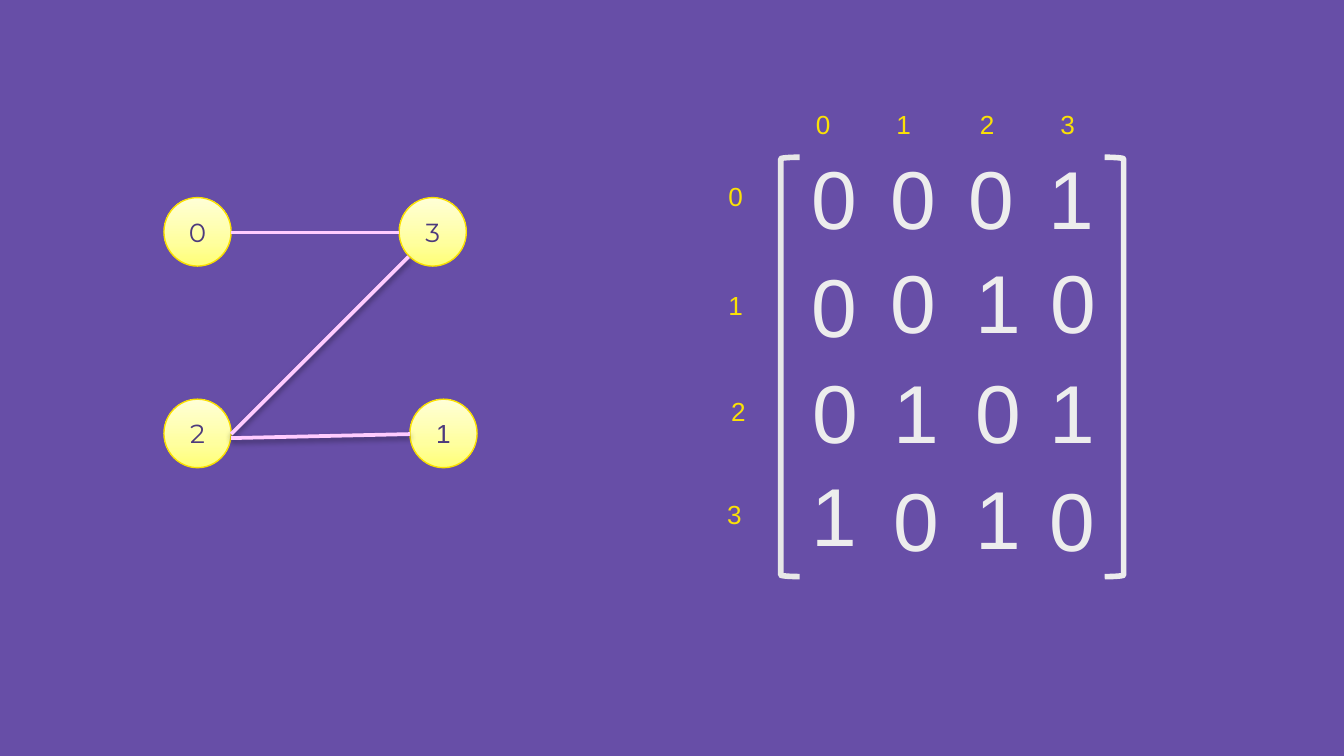
"""Draw a four-node graph beside its adjacency matrix."""
from copy import deepcopy

from lxml import etree
from pptx import Presentation
from pptx import util as u
from pptx.dml.color import RGBColor
from pptx.enum import shapes, text
from pptx.oxml import ns

HUES = {
    "back": "674EA7", "left": "E7E7E7", "digit": "EDEDED", "label": "FBE106",
    "rim": "FADF00", "node": "4D3A7D", "edge": "FFCCFF", "shade": "000000",
}
GLOW = [(0, "FFFF76"), (0.35, "FFFF9F"), (1, "FFFFD7")]
CELLS = [
    [("0", 5.94, 1.05), ("0", 6.53, 1.05), ("0", 7.11, 1.05), ("1", 7.7, 1.05)],
    [("0", 5.94, 1.85), ("0", 6.53, 1.82), ("1", 7.16, 1.82), ("0", 7.72, 1.82)],
    [("0", 5.95, 2.64), ("1", 6.55, 2.64), ("0", 7.16, 2.64), ("1", 7.71, 2.64)],
    [("1", 5.94, 3.41), ("0", 6.55, 3.44), ("1", 7.16, 3.43), ("0", 7.71, 3.44)],
]
ROWS = [("0", 5.42, 1.34), ("1", 5.42, 2.15), ("2", 5.44, 2.94), ("3", 5.41, 3.71)]
STOPS = [0.6, 1.22, 1.82]
NODES = [
    ("0", 1.22, 1.47, "Montserrat"), ("3", 2.97, 1.47, "Montserrat"),
    ("2", 1.22, 2.97, "Montserrat"), ("1", 3.05, 2.97, "Arial"),
]
EDGES = [
    (1.72, 1.73, 2.97, 1.73, False),
    (1.72, 3.23, 3.04, 1.91, True),
    (1.72, 3.26, 3.05, 3.23, True),
]


def tint(name):
    """Return the named colour."""
    return RGBColor.from_string(HUES[name])


def style(para, size, hue, face="Arial"):
    """Format every run of a paragraph."""
    for run in para.runs:
        run.font.size = u.Pt(size)
        run.font.name = face
        run.font.color.rgb = tint(hue)


def add_text(slide, words, box, size, hue, pad=(0, 0), tabs=()):
    """Add a text box with optional padding and tab stops."""
    frame = slide.shapes.add_textbox(*map(u.Inches, box)).text_frame
    frame.word_wrap = True
    frame.auto_size = text.MSO_AUTO_SIZE.SHAPE_TO_FIT_TEXT
    frame.margin_left = frame.margin_right = u.Inches(pad[0])
    frame.margin_top = frame.margin_bottom = u.Inches(pad[1])
    frame.text = words
    para = frame.paragraphs[0]
    if tabs:
        stops = etree.SubElement(para._p.get_or_add_pPr(), ns.qn("a:tabLst"))
        for stop in tabs:
            etree.SubElement(stops, ns.qn("a:tab"), pos=str(u.Inches(stop)), algn="l")
    style(para, size, hue)


def add_brace(slide, left, hue, turn):
    """Add one bracket of the matrix."""
    box = map(u.Inches, (left, 1.17, 0.14, 3.12))
    brace = slide.shapes.add_shape(shapes.MSO_SHAPE.LEFT_BRACKET, *box)
    brace.shadow.inherit = False
    brace.adjustments[0] = 0.083
    brace.rotation = turn
    brace.fill.background()
    brace.line.color.rgb = tint(hue)
    brace.line.width = u.Pt(3)


def fill_glow(shape):
    """Fill a shape with the upward yellow gradient."""
    shape.fill.gradient()
    shape.fill.gradient_angle = 90
    stops = shape._element.spPr.find(".//" + ns.qn("a:gsLst"))
    stops.append(deepcopy(stops[0]))
    for stop, (place, hue) in zip(shape.fill.gradient_stops, GLOW):
        stop.position = place
        stop.color.rgb = RGBColor.from_string(hue)


def add_node(slide, name, left, top, face):
    """Add one graph node."""
    box = map(u.Inches, (left, top, 0.5, 0.51))
    node = slide.shapes.add_shape(shapes.MSO_SHAPE.OVAL, *box)
    node.shadow.inherit = False
    fill_glow(node)
    node.line.color.rgb = tint("rim")
    node.line.width = u.Pt(0.75)
    frame = node.text_frame
    frame.vertical_anchor = text.MSO_ANCHOR.MIDDLE
    frame.text = name
    frame.paragraphs[0].alignment = text.PP_ALIGN.CENTER
    style(frame.paragraphs[0], 14, "node", face)


def add_edge(slide, x1, y1, x2, y2, shade):
    """Add one graph edge, with a soft shadow if asked."""
    ends = map(u.Inches, (x1, y1, x2, y2))
    edge = slide.shapes.add_connector(shapes.MSO_CONNECTOR.STRAIGHT, *ends)
    edge.line.color.rgb = tint("edge")
    edge.line.width = u.Pt(2)
    effects = etree.SubElement(edge._element.spPr, ns.qn("a:effectLst"))
    if shade:
        cast = etree.SubElement(
            effects, ns.qn("a:outerShdw"), blurRad=str(u.Pt(3)),
            dist=str(u.Pt(1.6)), dir="5400000", rotWithShape="0")
        hue = etree.SubElement(cast, ns.qn("a:srgbClr"), val=HUES["shade"])
        etree.SubElement(hue, ns.qn("a:alpha"), val="38000")


def main():
    """Build and save the slide."""
    deck = Presentation()
    deck.slide_width = u.Inches(10)
    deck.slide_height = deck.slide_width * 9 // 16
    slide = deck.slides.add_slide(deck.slide_layouts[6])
    slide.background.fill.solid()
    slide.background.fill.fore_color.rgb = tint("back")
    add_brace(slide, 5.81, "left", 0)
    for row in CELLS:
        for digit, left, top in row:
            add_text(slide, digit, (left, top, 0.75, 0.84), 44, "digit", (0.1, 0.05))
    add_brace(slide, 8.22, "digit", 180)
    add_text(slide, "0\t1\t2\t3", (6.07, 0.81, 2.41, 0.24), 14, "label", tabs=STOPS)
    for name, left, top in ROWS:
        add_text(slide, name, (left, top, 0.11, 0.24), 14, "label")
    for node in NODES:
        add_node(slide, *node)
    for edge in EDGES:
        add_edge(slide, *edge)
    deck.save("out.pptx")


if __name__ == "__main__":
    main()
